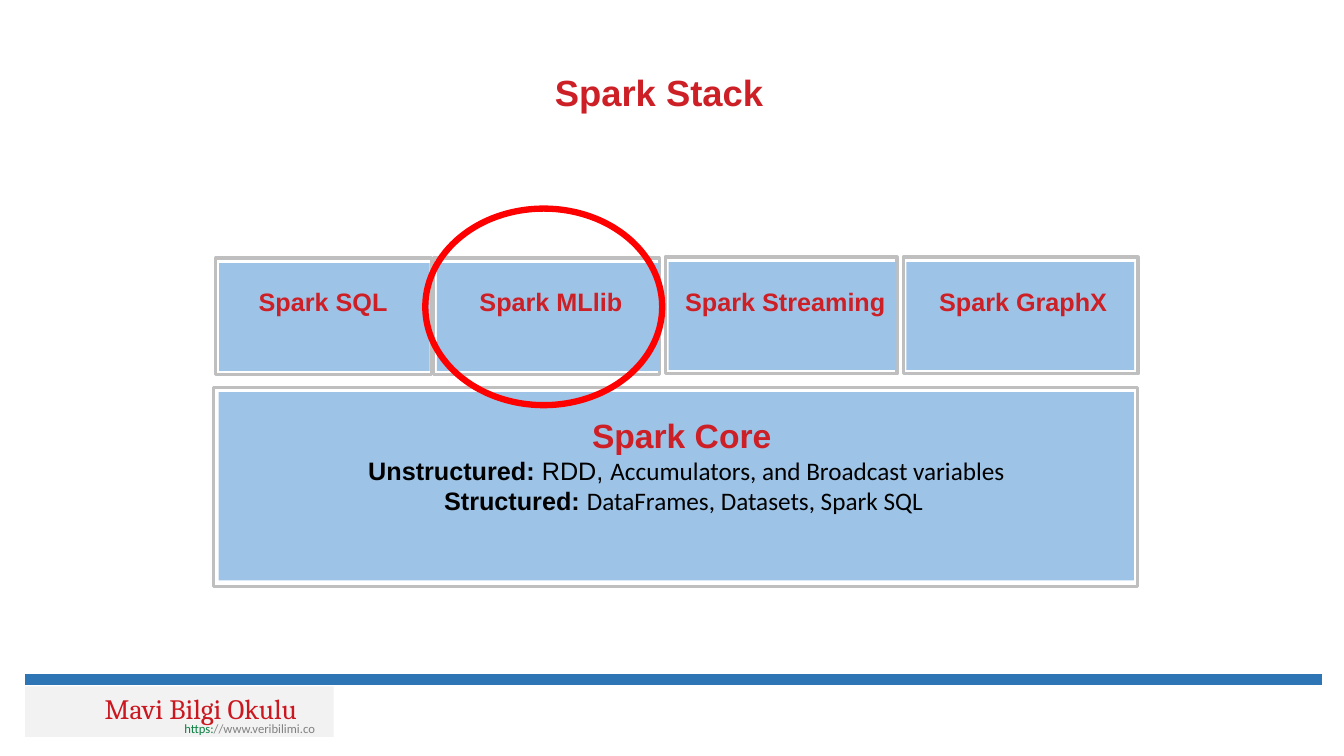
from dataclasses import dataclass

from lxml import etree
from pptx import Presentation
from pptx import util as u
from pptx.dml.color import RGBColor
from pptx.enum import shapes, text
from pptx.oxml.ns import qn


@dataclass(frozen=True)
class Theme:
    # Colours
    red: str = "CD1F26"
    school_red: str = "CB171F"
    ring: str = "FF0000"
    blue: str = "9DC3E6"
    rule: str = "2E75B6"
    border: str = "BFBFBF"
    footer: str = "F2F2F2"
    white: str = "FFFFFF"
    black: str = "000000"
    green: str = "0B8043"
    grey: str = "808080"
    # Fonts and sizes
    head: str = "Arial"
    body: str = "Calibri"
    serif: str = "Cambria"
    title: int = 26
    core: int = 24
    school: int = 20
    label: int = 18
    small: int = 9


class Deck:
    def __init__(self, prs, theme):
        self.theme = theme
        self.s = prs.slides.add_slide(prs.slide_layouts[6])

    def shape(self, box, fill=None, line=None, width=2.25,
              kind=shapes.MSO_SHAPE.RECTANGLE):
        sp = self.s.shapes.add_shape(kind, *map(u.Pt, box))
        sp.shadow.inherit = False
        if fill:
            sp.fill.solid()
            sp.fill.fore_color.rgb = RGBColor.from_string(fill)
        else:
            sp.fill.background()
        if line:
            sp.line.color.rgb = RGBColor.from_string(line)
            sp.line.width = u.Pt(width)
        else:
            sp.line.fill.background()

    def panel(self, frame, inner):
        self.shape(frame, self.theme.white, self.theme.border)
        self.shape(inner, self.theme.blue)

    def rule(self, x1, x2, y, color, width):
        c = self.s.shapes.add_connector(
            shapes.MSO_CONNECTOR.STRAIGHT, u.Pt(x1), u.Pt(y), u.Pt(x2), u.Pt(y))
        c.line.color.rgb = RGBColor.from_string(color)
        c.line.width = u.Pt(width)
        etree.SubElement(c._element.spPr, qn("a:effectLst"))

    def text(self, box, paragraphs, center=True, bottom=False, spacing=None):
        """Each paragraph is a list of (text, font, size, colour, bold) runs."""
        tf = self.s.shapes.add_textbox(*map(u.Pt, box)).text_frame
        tf.word_wrap = True
        if bottom:
            tf.vertical_anchor = text.MSO_ANCHOR.BOTTOM
        for i, runs in enumerate(paragraphs):
            p = tf.add_paragraph() if i else tf.paragraphs[0]
            p.alignment = text.PP_ALIGN.CENTER if center else text.PP_ALIGN.LEFT
            if spacing:
                p.line_spacing = spacing
            for words, font, size, color, bold in runs:
                r = p.add_run()
                r.text = words
                r.font.name = font
                r.font.size = u.Pt(size)
                r.font.bold = bold
                r.font.color.rgb = RGBColor.from_string(color)


def main():
    prs = Presentation()
    prs.slide_width, prs.slide_height = u.Pt(960), u.Pt(540)
    t = Theme()
    d = Deck(prs, t)

    # Footer
    d.rule(18, 944.6, 485.3, t.rule, 8)
    d.shape((18, 490.3, 220.3, 36), t.footer)
    d.text((67.7, 496.1, 168.5, 25.9),
           [[("Mavi Bilgi Okulu", t.serif, t.school, t.school_red, False)]],
           center=False, bottom=True, spacing=0.9)
    d.text((124.6, 511.2, 133.2, 18),
           [[("https:", t.body, t.small, t.green, False),
             ("//www.veribilimi.co", t.body, t.small, t.grey, False)]],
           center=False)

    # Title
    d.text((110.9, 31.7, 720, 53.3),
           [[("Spark Stack", t.head, t.title, t.red, True)]],
           bottom=True, spacing=0.9)

    # Core layer
    d.panel((152.6, 276.5, 660.2, 142.6), (156.2, 280.1, 653.8, 134.6))
    d.text((169.9, 293, 640.8, 79.9), [
        [("Spark Core ", t.head, t.core, t.red, True)],
        [("Unstructured:", t.head, t.label, t.black, True),
         (" RDD, ", t.head, t.label, t.black, False),
         ("Accumulators, and Broadcast variables",
          t.body, t.label, t.black, False)],
        [("Structured: ", t.head, t.label, t.black, True),
         ("DataFrames, Datasets, Spark SQL ",
          t.body, t.label, t.black, False)],
    ])

    # Libraries: name, left, top, frame width, panel width, label width
    libraries = [
        ("Spark SQL", 154.1, 184.3, 154.1, 150.5, 146.2),
        ("Spark MLlib", 309.6, 184.3, 161.3, 159.1, 160.6),
        ("Spark Streaming", 475.2, 183.6, 165.6, 162.7, 164.2),
        ("Spark GraphX", 645.1, 183.6, 167.8, 162.7, 164.2),
    ]
    for name, x, y, frame_w, panel_w, label_w in libraries:
        d.panel((x, y, frame_w, 83.5), (x + 2.4, y + 3.6, panel_w, 77))
        d.text((x + 3.6, y + 17, label_w, 46.8),
               [[(name, t.head, t.label, t.red, True)]])

    # Ring around MLlib
    d.shape((303.8, 149, 169.2, 140.4), line=t.ring, width=4.5,
            kind=shapes.MSO_SHAPE.OVAL)

    prs.save("out.pptx")


if __name__ == "__main__":
    main()
